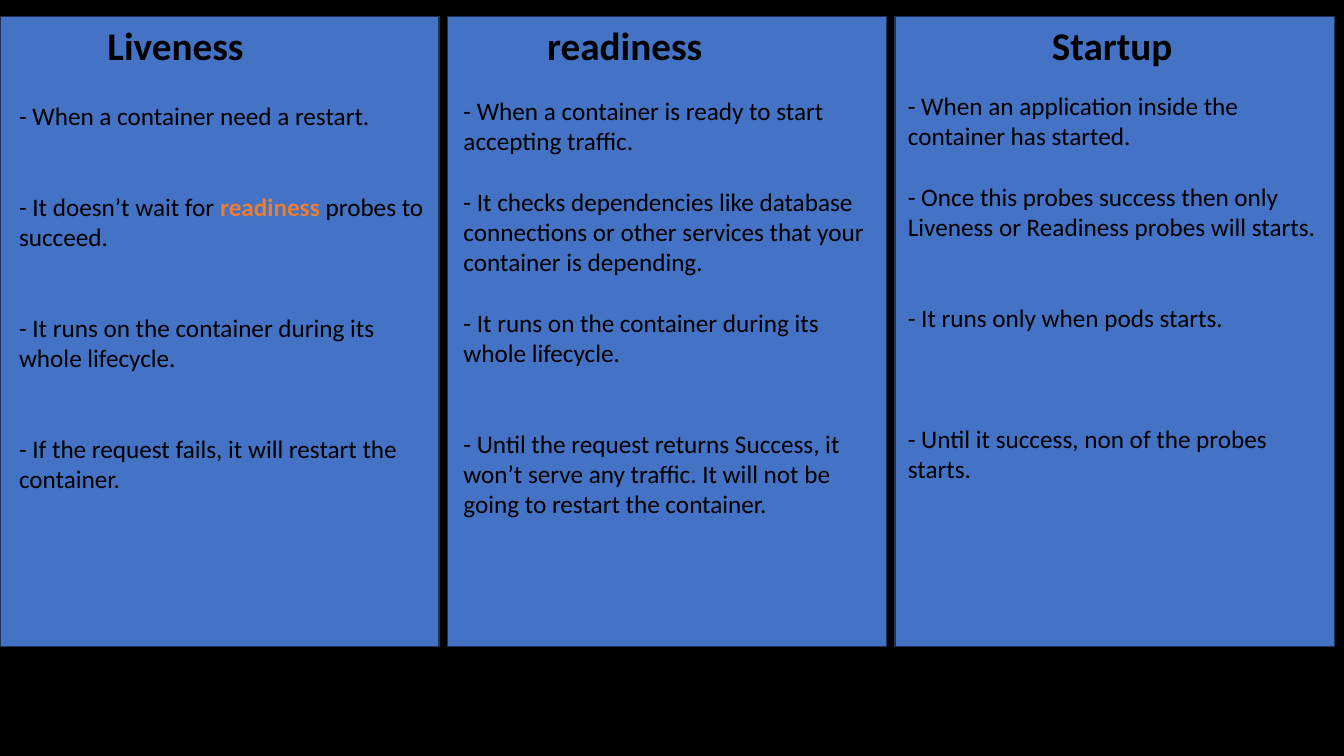
"""Build a slide comparing the liveness, readiness and startup probes."""
from pptx import Presentation
from pptx.dml.color import RGBColor
from pptx.enum.shapes import MSO_SHAPE
from pptx.enum.text import MSO_AUTO_SIZE
from pptx.util import Cm, Pt

HIGHLIGHT = "readiness"
PROBES = [
    {
        "title": "Liveness",
        "title_box": (2.46, 4.57, 1.45),
        "body_height": 12.57,
        "points": [
            (0, ["- When a container need a restart."]),
            (2, ["- It doesn’t wait for ", HIGHLIGHT, " probes to succeed."]),
            (2, ["- It runs on the container during its whole lifecycle."]),
            (2, ["- If the request fails, it will restart the container."]),
        ],
    },
    {
        "title": "readiness",
        "title_box": (13.54, 5.26, 2.24),
        "body_height": 11.02,
        "points": [
            (0, ["- When a container is ready to start accepting traffic."]),
            (1, ["- It checks dependencies like database connections or other "
                 "services that your container is depending."]),
            (1, ["- It runs on the container during its whole lifecycle."]),
            (2, ["- Until the request returns Success, it won’t serve any traffic. "
                 "It will not be going to restart the container."]),
        ],
    },
    {
        "title": "Startup",
        "title_box": (26.26, 3.68, 1.45),
        "body_height": 10.26,
        "points": [
            (0, ["- When an application inside the container has started."]),
            (1, ["- Once this probes success then only Liveness or Readiness "
                 "probes will starts."]),
            (2, ["- It runs only when pods starts."]),
            (3, ["- Until it success, non of the probes starts."]),
        ],
    },
]

THEME = {
    "background": RGBColor.from_string("000000"),
    "panel": RGBColor.from_string("4472C4"),
    "outline": RGBColor.from_string("1E3256"),
    "outline_width": Pt(1),
    "line_height": 21.6,
    "title": {"name": "Calibri", "size": Pt(28), "bold": True},
    "body": {"name": "Calibri", "size": Pt(18), "bold": False},
    "text_color": RGBColor.from_string("000000"),
    "highlight_color": RGBColor.from_string("ED7D31"),
}

PANEL_TOP, PANEL_WIDTH, PANEL_HEIGHT, PANEL_PITCH = 0.41, 11.07, 15.88, 11.28
BODY_LEFT, BODY_TOP, BODY_WIDTH = 0.23, 2.41, 10.85
BODY_PITCH, BODY_RISE = 11.2, 0.13


def add_panel(slide, column):
    panel = slide.shapes.add_shape(
        MSO_SHAPE.RECTANGLE, Cm(column * PANEL_PITCH), Cm(PANEL_TOP),
        Cm(PANEL_WIDTH), Cm(PANEL_HEIGHT))
    panel.shadow.inherit = False
    panel.fill.solid()
    panel.fill.fore_color.rgb = THEME["panel"]
    panel.line.color.rgb = THEME["outline"]
    panel.line.width = THEME["outline_width"]


def add_text(slide, box, points, style):
    frame = slide.shapes.add_textbox(*map(Cm, box)).text_frame
    for name, value in {"word_wrap": True, "auto_size": MSO_AUTO_SIZE.NONE}.items():
        setattr(frame, name, value)
    for index, (gap_lines, pieces) in enumerate(points):
        point = frame.add_paragraph() if index else frame.paragraphs[0]
        if gap_lines:
            point.space_before = Pt(gap_lines * THEME["line_height"])
        for piece in pieces:
            run = point.add_run()
            run.text = piece
            for name, value in THEME[style].items():
                setattr(run.font, name, value)
            run.font.color.rgb = THEME["text_color"]
            if style == "body" and piece == HIGHLIGHT:
                run.font.bold = True
                run.font.color.rgb = THEME["highlight_color"]


def main():
    deck = Presentation()
    deck.slide_width, deck.slide_height = Cm(33.87), Cm(19.05)
    slide = deck.slides.add_slide(deck.slide_layouts[6])
    slide.background.fill.solid()
    slide.background.fill.fore_color.rgb = THEME["background"]

    for column, probe in enumerate(PROBES):
        add_panel(slide, column)
        left, width, height = probe["title_box"]
        add_text(slide, (left, PANEL_TOP, width, height), [(0, [probe["title"]])], "title")
        body_box = (BODY_LEFT + column * BODY_PITCH, BODY_TOP - column * BODY_RISE,
                    BODY_WIDTH, probe["body_height"])
        add_text(slide, body_box, probe["points"], "body")

    deck.save("out.pptx")


if __name__ == "__main__":
    main()
